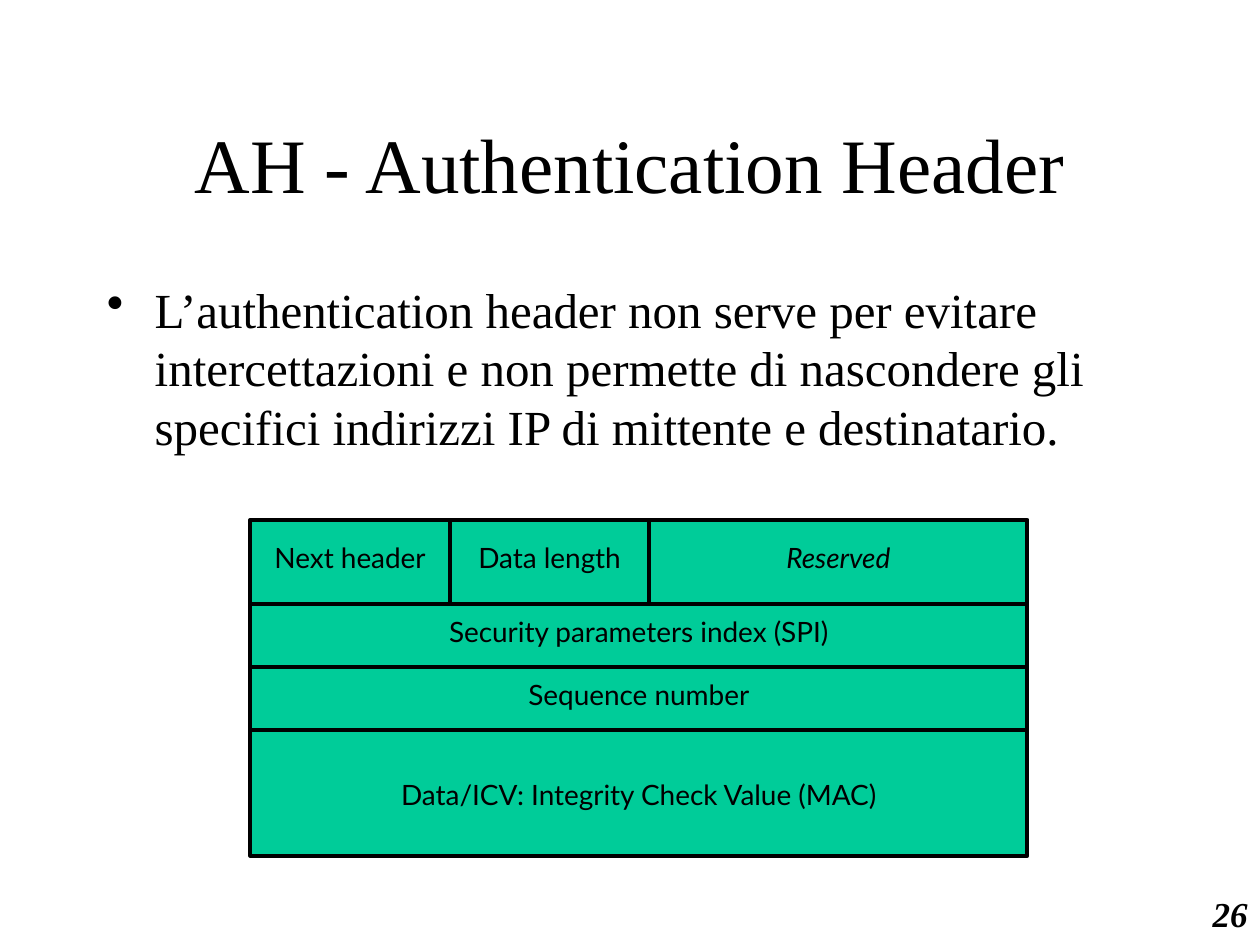
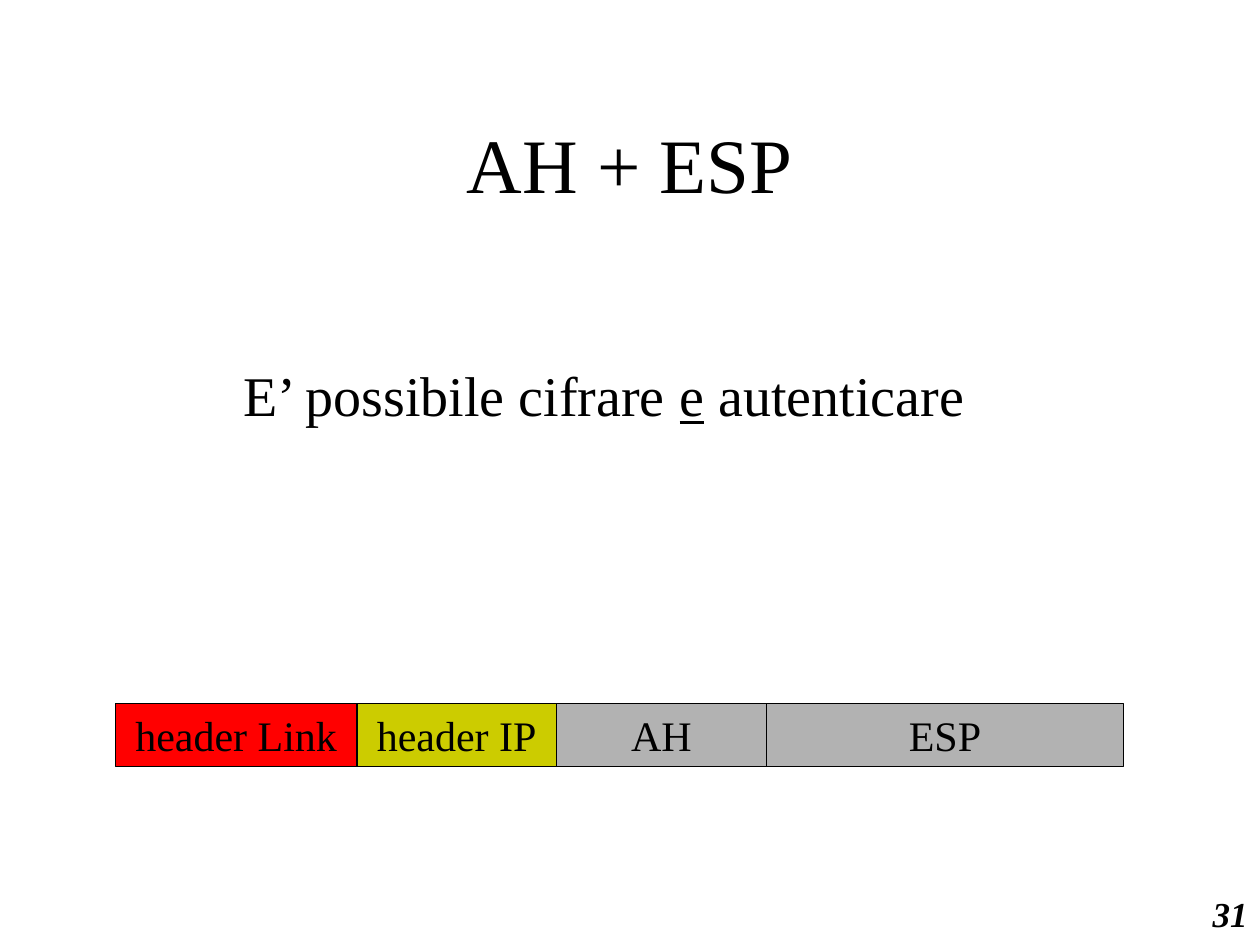
import pptx
import pptx.util
import pptx.dml.color
import pptx.enum.shapes
import pptx.enum.text
import pptx.oxml
import pptx.oxml.ns

RGBColor = pptx.dml.color.RGBColor
ALIGN = pptx.enum.text.PP_ALIGN
ANCHOR = pptx.enum.text.MSO_ANCHOR
RECT = pptx.enum.shapes.MSO_SHAPE.RECTANGLE

BLACK = RGBColor(0x00, 0x00, 0x00)
GREEN = RGBColor(0x00, 0xCC, 0x99)
RED = RGBColor(0xFF, 0x00, 0x00)
OLIVE = RGBColor(0xCC, 0xCC, 0x00)
GREY = RGBColor(0xB2, 0xB2, 0xB2)

SERIF = "Times New Roman"
SANS = "Lato"
WIDTH = pptx.util.Inches(10)
HEIGHT = pptx.util.Inches(7.5)
COLS = 120
ROWS = 90


def place(col, row, wide, high):
    return (round(WIDTH * col / COLS), round(HEIGHT * row / ROWS),
            round(WIDTH * wide / COLS), round(HEIGHT * high / ROWS))


def add_run(para, text, size, face=SERIF, **style):
    run = para.add_run()
    run.text = text
    run.font.name = face
    run.font.size = pptx.util.Pt(size)
    run.font.color.rgb = BLACK
    for name, value in style.items():
        setattr(run.font, name, value)


def set_frame(shape, anchor, align, wrap=True):
    frame = shape.text_frame
    frame.word_wrap = wrap
    frame.vertical_anchor = anchor
    para = frame.paragraphs[0]
    para.alignment = align
    return para


def add_text(slide, spot, anchor=ANCHOR.MIDDLE, align=ALIGN.CENTER):
    return set_frame(slide.shapes.add_textbox(*place(*spot)), anchor, align)


def add_bullet(para):
    props = para._p.get_or_add_pPr()
    props.set("marL", str(pptx.util.Inches(0.38)))
    props.set("indent", str(pptx.util.Inches(-0.38)))
    mark = pptx.oxml.parse_xml(
        f'<a:buChar {pptx.oxml.ns.nsdecls("a")} char="•"/>')
    props.append(mark)


def add_field(slide, spot, text, fill, line, size, face=SERIF, space=1.0, **style):
    shape = slide.shapes.add_shape(RECT, *place(*spot))
    shape.shadow.inherit = False
    shape.fill.solid()
    shape.fill.fore_color.rgb = fill
    shape.line.color.rgb = BLACK
    shape.line.width = pptx.util.Pt(line)
    para = set_frame(shape, ANCHOR.MIDDLE, ALIGN.CENTER, False)
    para.line_spacing = space
    add_run(para, text, size, face, **style)


def add_slide(deck, title, page):
    slide = deck.slides.add_slide(deck.slide_layouts[6])
    add_run(add_text(slide, (84, 84, 36, 6), align=ALIGN.RIGHT),
            page, 20, bold=True, italic=True)
    add_run(add_text(slide, (9, 8, 102, 15)), title, 44)
    return slide


def draw_header(slide):
    para = add_text(slide, (9, 26, 107, 23), ANCHOR.TOP, ALIGN.LEFT)
    para.space_before = pptx.util.Pt(7)
    add_bullet(para)
    add_run(para, "L’authentication header non serve per evitare intercettazioni "
            "e non permette di nascondere gli specifici indirizzi IP di "
            "mittente e destinatario.", 28)

    table = [
        (8, 0.7, [("Next header", 19, False), ("Data length", 19, False),
                  ("Reserved", 36, True)]),
        (6, 0.7, [("Security parameters index (SPI)", 74, False)]),
        (6, 0.7, [("Sequence number", 74, False)]),
        (12, 1.1, [("Data/ICV: Integrity Check Value (MAC)", 74, False)]),
    ]
    row = 49.5
    for high, space, fields in table:
        col = 23.85
        for text, wide, slant in fields:
            add_field(slide, (col, row, wide, high), text, GREEN, 2.25,
                      16, SANS, space, italic=slant)
            col += wide
        row += high


def draw_packet(slide):
    para = add_text(slide, (4, 26, 107, 23))
    para.space_before = pptx.util.Pt(8)
    add_run(para, "E’ possibile cifrare ", 32)
    add_run(para, "e", 32, underline=True)
    add_run(para, " autenticare", 32)

    col = 11
    for text, wide, fill in [("header Link", 23, RED), ("header IP", 19, OLIVE),
                             ("AH", 20, GREY), ("ESP", 34, GREY)]:
        add_field(slide, (col, 67, wide, 6), text, fill, 1, 24)
        col += wide


def main():
    deck = pptx.Presentation()
    deck.slide_width = WIDTH
    deck.slide_height = HEIGHT
    draw_header(add_slide(deck, "AH - Authentication Header", "26"))
    draw_packet(add_slide(deck, "AH + ESP", "31"))
    deck.save("out.pptx")


if __name__ == "__main__":
    main()
